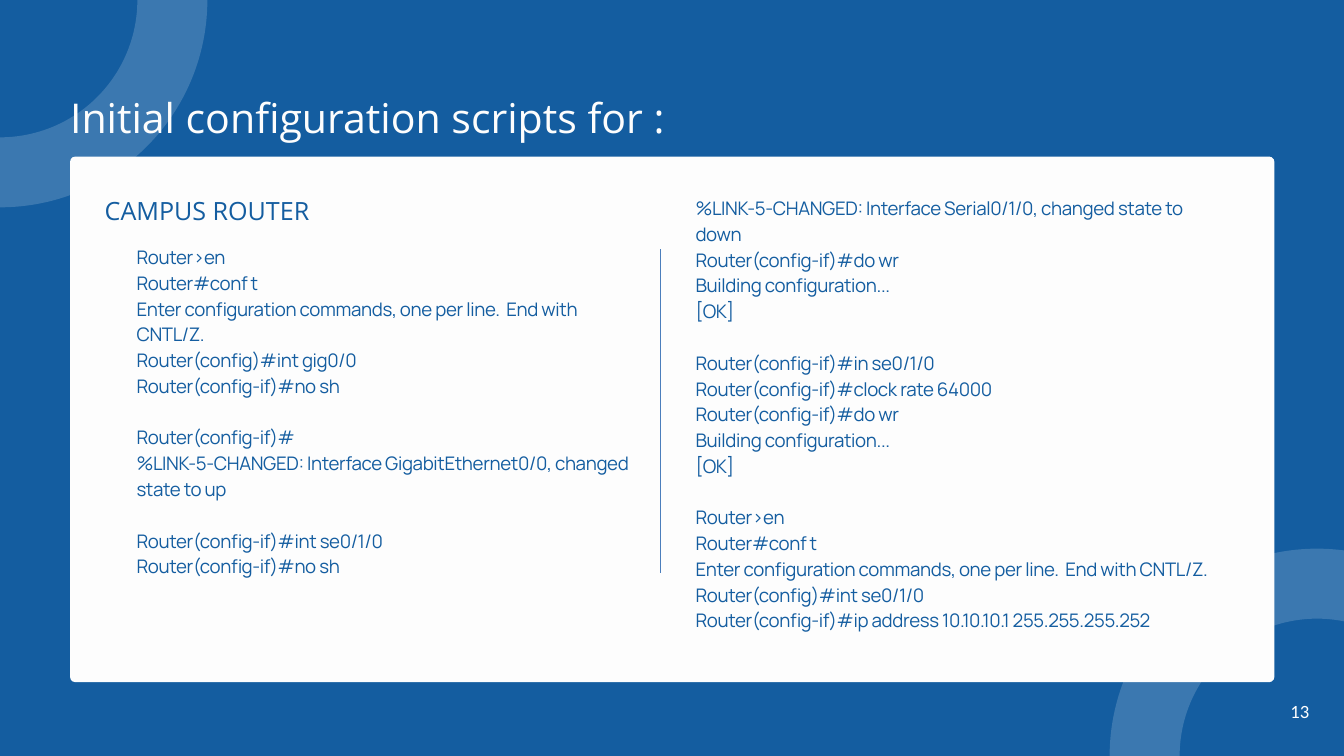
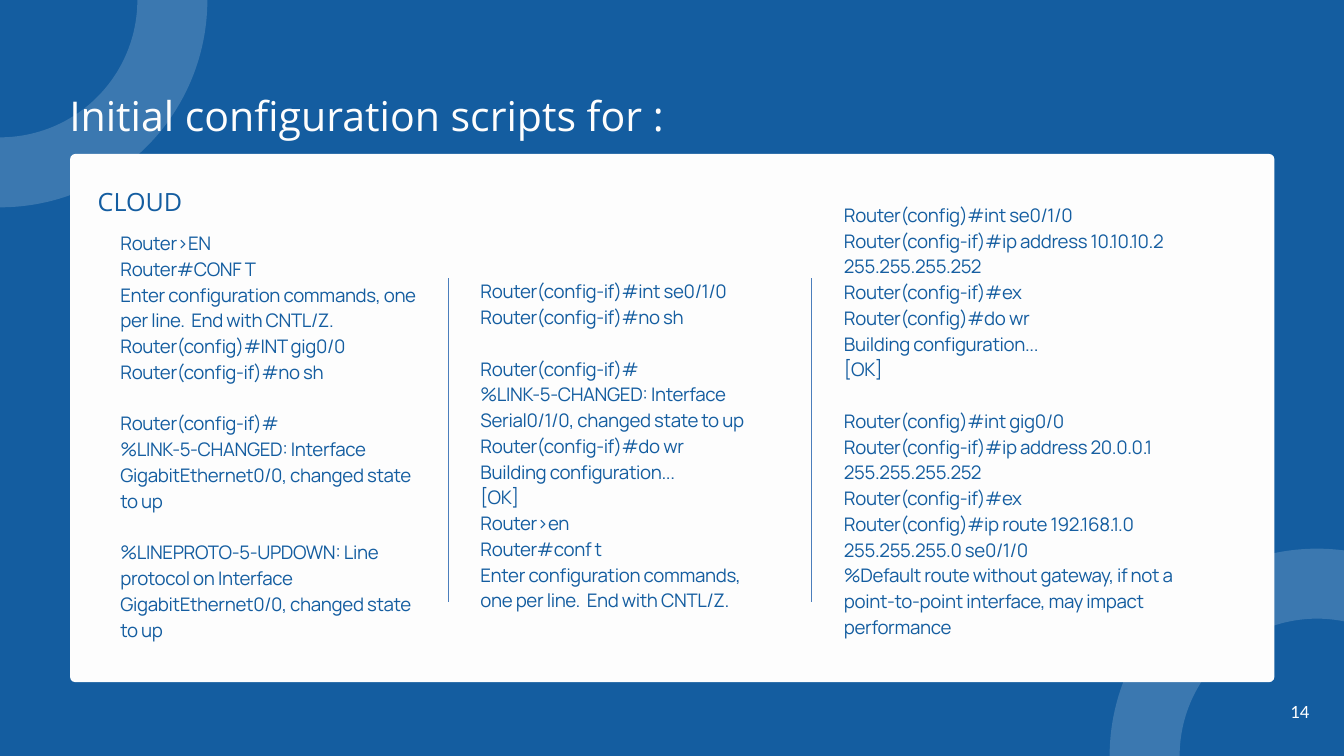
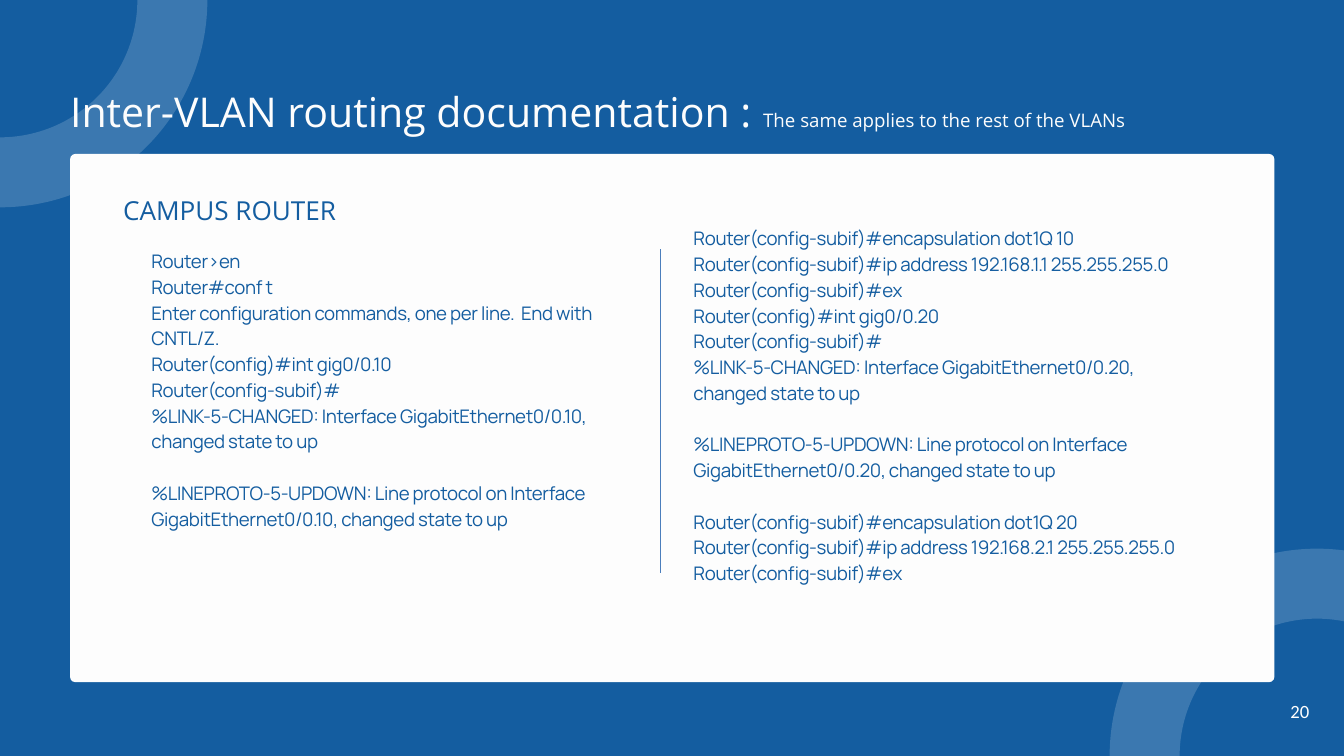
from dataclasses import dataclass

import pptx
import pptx.dml.color
import pptx.enum.shapes
import pptx.enum.text
import pptx.oxml.ns
import pptx.presentation
import pptx.shapes.base
import pptx.slide
import pptx.text.text
import pptx.util
from pptx.util import Cm

# Shared style
COLORS = {"blue": "145DA0", "card": "FDFDFD", "white": "FFFFFF", "divider": "4B7EBC"}
HEADING_FONT, CODE_FONT, NUMBER_FONT = "Open Sans", "Manrope", "Calibri"
SLIDE_WIDTH, SLIDE_HEIGHT = 50.8, 28.58
CARD_LEFT, CARD_WIDTH, CARD_BOTTOM = 2.65, 45.52, 25.79
RING_DIAMETER = 13.03
RING_CENTERS = [(49.78, SLIDE_HEIGHT), (0, 0)]
DIVIDER_HEIGHT = 12.24
CODE_LEADING = 27.6
COMPARISON_LAYOUT = 4
HEADING_INDEX = 1
COLUMN_INDEXES = (2, 3, 4)

ALIGN = pptx.enum.text.PP_ALIGN
ANCHOR = pptx.enum.text.MSO_ANCHOR


@dataclass(frozen=True)
class Area:
    """A rectangle in centimetres."""
    left: float
    top: float
    width: float
    height: float


@dataclass(frozen=True)
class CodeColumn:
    area: Area
    script: str  # an empty line opens a gap


@dataclass(frozen=True)
class ScriptSlide:
    number: int
    title: str
    title_area: Area
    card_top: float
    device: str
    device_area: Area
    columns: list[CodeColumn]
    divider_top: float
    dividers: list[float]
    title_note: str = ""
    device_size: float = 26.9


def rgb(name: str) -> pptx.dml.color.RGBColor:
    return pptx.dml.color.RGBColor.from_string(COLORS[name])


def place(shape: pptx.shapes.base.BaseShape, area: Area) -> None:
    shape.left, shape.top = Cm(area.left), Cm(area.top)
    shape.width, shape.height = Cm(area.width), Cm(area.height)


def prepare_placeholder(shape: pptx.shapes.base.BaseShape,
                        area: Area) -> pptx.text.text.TextFrame:
    """Move a placeholder in front of the card and clear its frame settings."""
    shape.element.getparent().append(shape.element)
    place(shape, area)
    frame = shape.text_frame
    frame.margin_left = frame.margin_right = frame.margin_top = frame.margin_bottom = 0
    frame.vertical_anchor = ANCHOR.TOP
    frame.auto_size = pptx.enum.text.MSO_AUTO_SIZE.NONE
    frame.word_wrap = True
    return frame


def format_paragraph(paragraph: pptx.text.text._Paragraph, font: str, color: str,
                     size: float, leading: float, before: float = 0,
                     align: ALIGN = ALIGN.LEFT) -> None:
    properties = paragraph._p.get_or_add_pPr()
    properties.set("marL", "0")
    properties.set("indent", "0")
    properties.append(properties.makeelement(pptx.oxml.ns.qn("a:buNone"), {}))
    paragraph.alignment = align
    paragraph.line_spacing = pptx.util.Pt(leading)
    paragraph.space_before = pptx.util.Pt(before)
    paragraph.space_after = pptx.util.Pt(0)
    paragraph.font.name = font
    paragraph.font.size = pptx.util.Pt(size)
    paragraph.font.bold = False
    paragraph.font.color.rgb = rgb(color)


# Background parts
def add_card(slide: pptx.slide.Slide, top: float) -> None:
    card = slide.shapes.add_shape(pptx.enum.shapes.MSO_SHAPE.ROUNDED_RECTANGLE, 0, 0, 0, 0)
    place(card, Area(CARD_LEFT, top, CARD_WIDTH, CARD_BOTTOM - top))
    card.adjustments[0] = 0.01
    card.shadow.inherit = False
    card.fill.solid()
    card.fill.fore_color.rgb = rgb("card")
    card.line.fill.background()


def add_ring(slide: pptx.slide.Slide, center_x: float, center_y: float) -> None:
    ring = slide.shapes.add_shape(pptx.enum.shapes.MSO_SHAPE.OVAL, 0, 0, 0, 0)
    radius = RING_DIAMETER / 2
    place(ring, Area(center_x - radius, center_y - radius, RING_DIAMETER, RING_DIAMETER))
    ring.shadow.inherit = False
    ring.fill.background()
    ring.line.width = pptx.util.Pt(75)
    ring.line.color.rgb = rgb("white")
    tint = ring.element.spPr.find(".//" + pptx.oxml.ns.qn("a:srgbClr"))
    tint.append(tint.makeelement(pptx.oxml.ns.qn("a:alpha"), {"val": "16000"}))


def add_divider(slide: pptx.slide.Slide, x: float, top: float) -> None:
    divider = slide.shapes.add_connector(
        pptx.enum.shapes.MSO_CONNECTOR.STRAIGHT,
        Cm(x), Cm(top), Cm(x), Cm(top + DIVIDER_HEIGHT))
    divider.line.color.rgb = rgb("divider")
    divider.line.width = pptx.util.Pt(0.75)
    properties = divider.element.spPr
    properties.append(properties.makeelement(pptx.oxml.ns.qn("a:effectLst"), {}))


# Text parts
def fill_title(slide: pptx.slide.Slide, content: ScriptSlide) -> None:
    frame = prepare_placeholder(slide.shapes.title, content.title_area)
    paragraph = frame.paragraphs[0]
    paragraph.add_run().text = content.title
    format_paragraph(paragraph, HEADING_FONT, "card", 44, 92.5)
    if content.title_note:
        note = paragraph.add_run()
        note.text = content.title_note
        note.font.size = pptx.util.Pt(20)


def fill_device(shape: pptx.shapes.base.BaseShape, content: ScriptSlide) -> None:
    frame = prepare_placeholder(shape, content.device_area)
    frame.text = content.device
    format_paragraph(frame.paragraphs[0], HEADING_FONT, "blue", content.device_size,
                     37.6, align=ALIGN.CENTER)


def fill_column(shape: pptx.shapes.base.BaseShape, column: CodeColumn) -> None:
    frame = prepare_placeholder(shape, column.area)
    previous = None
    for line in column.script.strip("\n").split("\n"):
        if line:
            paragraph = frame.paragraphs[0] if previous is None else frame.add_paragraph()
            run = paragraph.add_run()
            run.text = line
            run._r.get_or_add_rPr().set("spc", "-40")
            format_paragraph(paragraph, CODE_FONT, "blue", 20, CODE_LEADING,
                             before=CODE_LEADING if previous == "" else 0)
        previous = line


def add_page_number(slide: pptx.slide.Slide, number: int) -> None:
    box = slide.shapes.add_textbox(Cm(43.82), Cm(26.37), Cm(5.92), Cm(1.02))
    frame = box.text_frame
    frame.word_wrap = True
    frame.vertical_anchor = ANCHOR.MIDDLE
    frame.text = str(number)
    paragraph = frame.paragraphs[0]
    paragraph.alignment = ALIGN.RIGHT
    paragraph.font.name = NUMBER_FONT
    paragraph.font.size = pptx.util.Pt(20)
    paragraph.font.color.rgb = rgb("white")


def build_slide(deck: pptx.presentation.Presentation, content: ScriptSlide) -> None:
    slide = deck.slides.add_slide(deck.slide_layouts[COMPARISON_LAYOUT])
    bodies = {body.placeholder_format.idx: body for body in slide.placeholders}
    add_card(slide, content.card_top)
    for center in RING_CENTERS:
        add_ring(slide, *center)
    for x in content.dividers:
        add_divider(slide, x, content.divider_top)
    fill_title(slide, content)
    fill_device(bodies[HEADING_INDEX], content)
    for index, column in zip(COLUMN_INDEXES, content.columns):
        fill_column(bodies[index], column)
    for index in COLUMN_INDEXES[len(content.columns):]:
        unused = bodies[index].element
        unused.getparent().remove(unused)
    add_page_number(slide, content.number)


# Content
SLIDES = [
    ScriptSlide(
        number=13,
        title="Initial configuration scripts for :",
        title_area=Area(2.65, 2.08, 29.06, 2.9),
        card_top=5.92,
        device="CAMPUS ROUTER",
        device_area=Area(2.62, 7.21, 10.41, 1.27),
        divider_top=9.42,
        dividers=[24.97],
        columns=[
            CodeColumn(Area(5.16, 9.17, 18.59, 14.91), """
Router>en
Router#conf t
Enter configuration commands, one per line.  End with CNTL/Z.
Router(config)#int gig0/0
Router(config-if)#no sh

Router(config-if)#
%LINK-5-CHANGED: Interface GigabitEthernet0/0, changed state to up

Router(config-if)#int se0/1/0
Router(config-if)#no sh
"""),
            CodeColumn(Area(26.29, 7.32, 19.69, 17.91), """
%LINK-5-CHANGED: Interface Serial0/1/0, changed state to down
Router(config-if)#do wr
Building configuration...
[OK]

Router(config-if)#in se0/1/0
Router(config-if)#clock rate 64000
Router(config-if)#do wr
Building configuration...
[OK]

Router>en
Router#conf t
Enter configuration commands, one per line.  End with CNTL/Z.
Router(config)#int se0/1/0
Router(config-if)#ip address 10.10.10.1 255.255.255.252
"""),
        ],
    ),
    ScriptSlide(
        number=14,
        title="Initial configuration scripts for :",
        title_area=Area(2.62, 2.03, 29.06, 2.9),
        card_top=5.82,
        device="CLOUD",
        device_area=Area(1.85, 6.86, 6.88, 1.27),
        divider_top=10.52,
        dividers=[16.94, 30.68],
        columns=[
            CodeColumn(Area(4.55, 8.64, 11.76, 15.9), """
Router>EN
Router#CONF T
Enter configuration commands, one per line.  End with CNTL/Z.
Router(config)#INT gig0/0
Router(config-if)#no sh

Router(config-if)#
%LINK-5-CHANGED: Interface GigabitEthernet0/0, changed state to up

%LINEPROTO-5-UPDOWN: Line protocol on Interface GigabitEthernet0/0, changed state to up
"""),
            CodeColumn(Area(18.16, 10.46, 10.82, 12.93), """
Router(config-if)#int se0/1/0
Router(config-if)#no sh

Router(config-if)#
%LINK-5-CHANGED: Interface Serial0/1/0, changed state to up
Router(config-if)#do wr
Building configuration...
[OK]
Router>en
Router#conf t
Enter configuration commands, one per line.  End with CNTL/Z.
"""),
            CodeColumn(Area(31.9, 7.57, 13.79, 16.92), """
Router(config)#int se0/1/0
Router(config-if)#ip address 10.10.10.2 255.255.255.252
Router(config-if)#ex
Router(config)#do wr
Building configuration...
[OK]

Router(config)#int gig0/0
Router(config-if)#ip address 20.0.0.1 255.255.255.252
Router(config-if)#ex
Router(config)#ip route 192.168.1.0 255.255.255.0 se0/1/0
%Default route without gateway, if not a point-to-point interface, may impact performance
"""),
        ],
    ),
    ScriptSlide(
        number=20,
        title="Inter-VLAN routing documentation : ",
        title_note="The same applies to the rest of the VLANs",
        title_area=Area(2.65, 1.85, 44.75, 2.87),
        card_top=5.82,
        device="CAMPUS ROUTER",
        device_area=Area(3.81, 7.19, 9.73, 1.27),
        device_size=28,
        divider_top=9.42,
        dividers=[24.97],
        columns=[
            CodeColumn(Area(5.72, 9.32, 17.15, 12.93), """
Router>en
Router#conf t
Enter configuration commands, one per line.  End with CNTL/Z.
Router(config)#int gig0/0.10
Router(config-subif)#
%LINK-5-CHANGED: Interface GigabitEthernet0/0.10, changed state to up

%LINEPROTO-5-UPDOWN: Line protocol on Interface GigabitEthernet0/0.10, changed state to up
"""),
            CodeColumn(Area(26.21, 8.46, 18.29, 15.9), """
Router(config-subif)#encapsulation dot1Q 10
Router(config-subif)#ip address 192.168.1.1 255.255.255.0
Router(config-subif)#ex
Router(config)#int gig0/0.20
Router(config-subif)#
%LINK-5-CHANGED: Interface GigabitEthernet0/0.20, changed state to up

%LINEPROTO-5-UPDOWN: Line protocol on Interface GigabitEthernet0/0.20, changed state to up

Router(config-subif)#encapsulation dot1Q 20
Router(config-subif)#ip address 192.168.2.1 255.255.255.0
Router(config-subif)#ex
"""),
        ],
    ),
]


def main() -> None:
    deck = pptx.Presentation()
    deck.slide_width, deck.slide_height = Cm(SLIDE_WIDTH), Cm(SLIDE_HEIGHT)
    backdrop = deck.slide_master.background.fill
    backdrop.solid()
    backdrop.fore_color.rgb = rgb("blue")
    for content in SLIDES:
        build_slide(deck, content)
    deck.save("out.pptx")


if __name__ == "__main__":
    main()
